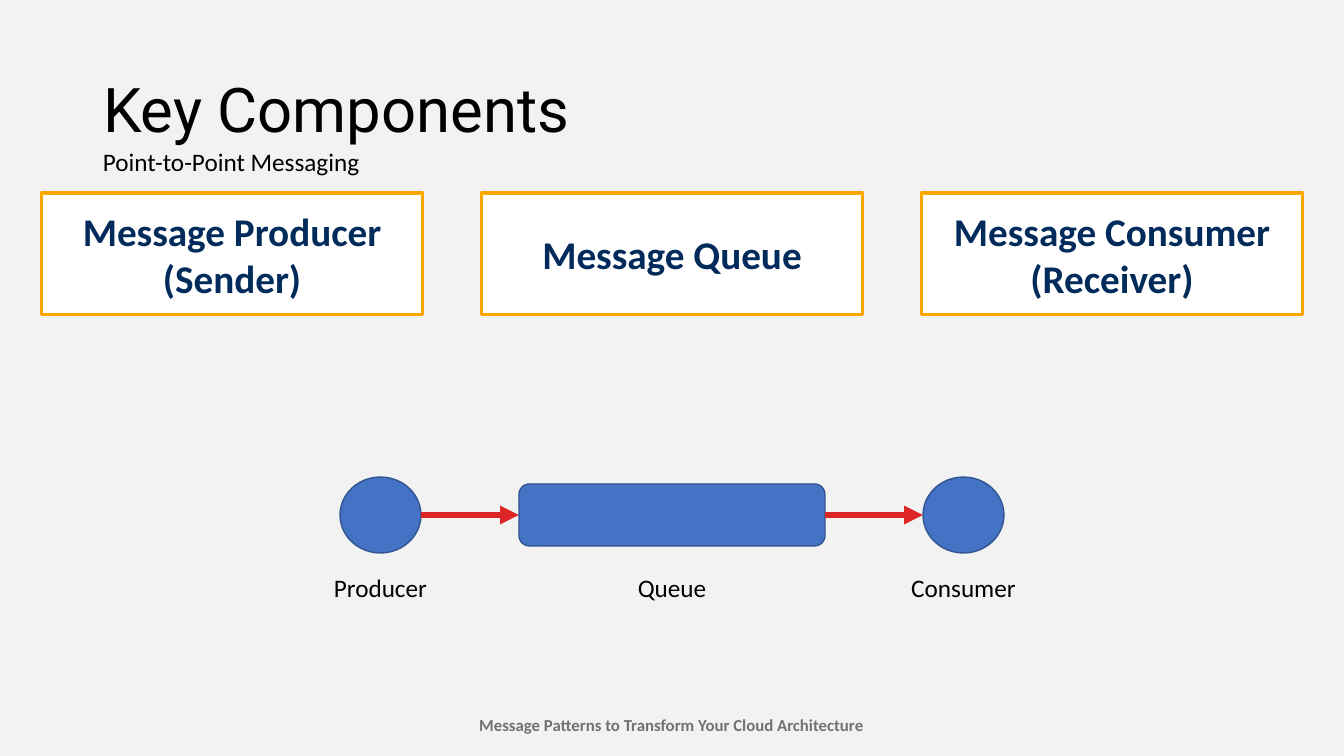
from lxml import etree
from pptx import Presentation
from pptx.dml.color import RGBColor
from pptx.enum.shapes import MSO_CONNECTOR, MSO_SHAPE
from pptx.enum.text import MSO_ANCHOR, MSO_AUTO_SIZE, PP_ALIGN
from pptx.oxml.ns import qn
from pptx.util import Pt

RECT, ROUNDED, OVAL = MSO_SHAPE.RECTANGLE, MSO_SHAPE.ROUNDED_RECTANGLE, MSO_SHAPE.OVAL
LEFT, CENTER = PP_ALIGN.LEFT, PP_ALIGN.CENTER
MIDDLE = MSO_ANCHOR.MIDDLE
LEFT_SIDE, RIGHT_SIDE = 1, 3

BACKGROUND = RGBColor(0xF2, 0xF2, 0xF2)
WHITE = RGBColor(0xFF, 0xFF, 0xFF)
BLACK = RGBColor(0, 0, 0)
NAVY = RGBColor(0x00, 0x2B, 0x5B)
ORANGE = RGBColor(0xFF, 0xA5, 0x00)
BLUE = RGBColor(0x44, 0x72, 0xC4)
DARK_BLUE = RGBColor(0x32, 0x54, 0x91)
RED = RGBColor(0xDC, 0x26, 0x26)
GRAY = RGBColor(0x72, 0x72, 0x72)

TITLE = "Key Components"
SUBTITLE = "Point-to-Point Messaging"
FOOTER = "Message Patterns to Transform Your Cloud Architecture"
COMPONENTS = ["Message Producer (Sender)", "Message Queue", "Message Consumer (Receiver)"]
# label, shape, width, height
FLOW = [("Producer", OVAL, 81, 76), ("Queue", ROUNDED, 306, 62), ("Consumer", OVAL, 81, 76)]

SLIDE_W, SLIDE_H = 1344, 756
MARGIN = 93
CARD_TOP, CARD_W, CARD_H, CARD_PITCH = 193, 381, 122, 440
FLOW_Y, FLOW_GAP = 515, 98
LABEL_TOP, LABEL_W, LABEL_H = 567, 126, 40


def px(length):
    return round(length * 914400 / 100.8)


def box(left, top, width, height):
    return px(left), px(top), px(width), px(height)


def write(frame, text, size, color, align=LEFT, font="Calibri", bold=False):
    frame.text = text
    paragraph = frame.paragraphs[0]
    paragraph.alignment = align
    style = paragraph.runs[0].font
    style.name, style.size, style.bold = font, Pt(size), bold
    style.color.rgb = color
    return paragraph


def add_label(slide, place, *text_style):
    frame = slide.shapes.add_textbox(*box(*place)).text_frame
    frame.word_wrap = False
    write(frame, *text_style)


def add_node(slide, kind, place, fill, line, weight):
    node = slide.shapes.add_shape(kind, *box(*place))
    node.shadow.inherit = False
    node.fill.solid()
    node.fill.fore_color.rgb = fill
    node.line.color.rgb = line
    node.line.width = Pt(weight)
    return node


def add_arrow(slide, start, end):
    arrow = slide.shapes.add_connector(
        MSO_CONNECTOR.STRAIGHT, px(start), px(FLOW_Y), px(end), px(FLOW_Y))
    arrow.line.color.rgb = RED
    arrow.line.width = Pt(4.5)
    etree.SubElement(arrow.line._get_or_add_ln(), qn("a:tailEnd"), type="triangle")
    etree.SubElement(arrow._element.spPr, qn("a:effectLst"))
    return arrow


def add_title(slide):
    title = slide.shapes.title
    title.left, title.top, title.width, title.height = box(MARGIN, 40, 1159, 146)
    frame = title.text_frame
    frame.auto_size = MSO_AUTO_SIZE.NONE
    frame.vertical_anchor = MIDDLE
    write(frame, TITLE, 44, BLACK, LEFT, "Roboto").line_spacing = 0.9


def add_cards(slide):
    first_left = (SLIDE_W - CARD_W - CARD_PITCH * (len(COMPONENTS) - 1)) / 2
    for i, component in enumerate(COMPONENTS):
        place = (first_left + i * CARD_PITCH, CARD_TOP, CARD_W, CARD_H)
        card = add_node(slide, RECT, place, WHITE, ORANGE, 2.25)
        card.text_frame.word_wrap = True
        card.text_frame.vertical_anchor = MIDDLE
        write(card.text_frame, component, 28, NAVY, CENTER, bold=True)


def add_flow(slide):
    """Nodes in a centred row with an arrow in each gap and a label below."""
    total = sum(width for _, _, width, _ in FLOW) + FLOW_GAP * (len(FLOW) - 1)
    left = (SLIDE_W - total) / 2
    previous = None
    for label, kind, width, height in FLOW:
        node = add_node(slide, kind, (left, FLOW_Y - height / 2, width, height), BLUE, DARK_BLUE, 1)
        if previous:
            arrow = add_arrow(slide, left - FLOW_GAP, left)
            if previous.auto_shape_type == ROUNDED:
                arrow.begin_connect(previous, RIGHT_SIDE)
            if kind == ROUNDED:
                arrow.end_connect(node, LEFT_SIDE)
        label_left = left + (width - LABEL_W) / 2
        add_label(slide, (label_left, LABEL_TOP, LABEL_W, LABEL_H), label, 18, BLACK, CENTER)
        previous = node
        left += width + FLOW_GAP


def main():
    deck = Presentation()
    deck.slide_width, deck.slide_height = px(SLIDE_W), px(SLIDE_H)
    slide = deck.slides.add_slide(deck.slide_layouts[5])
    slide.background.fill.solid()
    slide.background.fill.fore_color.rgb = BACKGROUND
    add_title(slide)
    add_cards(slide)
    add_flow(slide)
    add_label(slide, (MARGIN, 141, 333, 40), SUBTITLE, 18, BLACK)
    add_label(slide, (467, 710, 409, 30), FOOTER, 12, GRAY, CENTER, "Calibri", True)
    deck.save("out.pptx")


if __name__ == "__main__":
    main()
